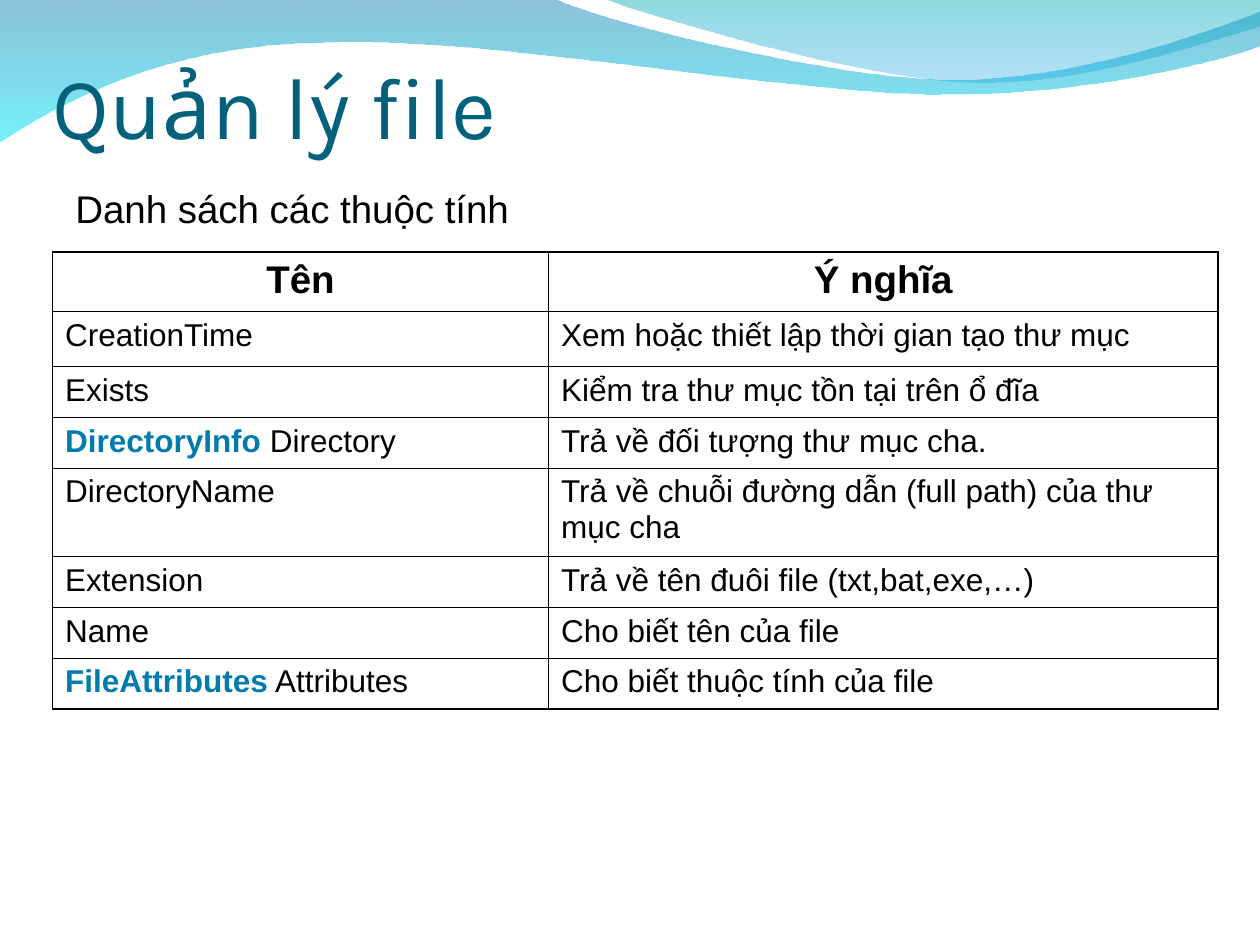
from lxml.etree import SubElement
from pptx import Presentation
from pptx.dml.color import RGBColor
from pptx.enum.text import MSO_ANCHOR, MSO_AUTO_SIZE, PP_ALIGN
from pptx.oxml.ns import qn
from pptx.util import Pt

BLACK, TITLE, ACCENT = "000000", "04617B", "007BAC"
THIN, THICK = 0.45, 1.08
COLUMNS = [283.5, 382.5]
ROW = 29.1
HEIGHTS = [33.8, 31.5, ROW, ROW, 50.3, ROW, ROW, ROW]

# Each row: highlighted type, attribute name, meaning
ROWS = [
    ("", "Tên", "Ý nghĩa"),
    ("", "CreationTime", "Xem hoặc thiết lập thời gian tạo thư mục"),
    ("", "Exists", "Kiểm tra thư mục tồn tại trên ổ đĩa"),
    ("DirectoryInfo", " Directory", "Trả về đối tượng thư mục cha."),
    ("", "DirectoryName", "Trả về chuỗi đường dẫn (full path) của thư mục cha"),
    ("", "Extension", "Trả về tên đuôi file (txt,bat,exe,…)"),
    ("", "Name", "Cho biết tên của file"),
    ("FileAttributes", " Attributes", "Cho biết thuộc tính của file"),
]

# After the start, one point is a line and three points are a cubic curve
BACK_WAVE = [
    [(0, -0.7)],
    [(316.8, -0.7)],
    [(342.7, 12.2), (478.1, 45.4), (545.8, 45.4)],
    [(614.2, 45.4), (689.8, 18.7), (720, 6.5)],
    [(720.7, 25.9)],
    [(707.8, 31.7), (626.4, 54.7), (537.1, 54)],
    [(447.8, 54), (275, 20.2), (185, 24.5)],
    [(92.9, 25.2), (33.1, 59.8), (-0.7, 81.4)],
]
FRONT_WAVE = [
    [(344.9, -0.7)],
    [(366.5, 7.9), (491, 44.6), (553.7, 46.8)],
    [(616.3, 49.7), (691.9, 23), (720, 15.1)],
    [(720, -0.7)],
]


def rgb(color):
    return RGBColor.from_string(color)


def bend_segments(sp, segments):
    """Join the three lines of each curved segment into one cubic curve."""
    outline = next(sp._element.iter(qn("a:path")))
    lines = iter(outline.findall(qn("a:lnTo")))
    for segment in segments[1:]:
        parts = [next(lines) for _ in segment]
        if len(parts) == 3:
            curve = outline.makeelement(qn("a:cubicBezTo"), {})
            parts[0].addprevious(curve)
            for part in parts:
                curve.append(part[0])
                outline.remove(part)


def add_wave(slide, segments, stops):
    """Draw a closed outline with a downward gradient of (colour, opacity %)."""
    points = [(Pt(x), Pt(y)) for segment in segments for x, y in segment]
    builder = slide.shapes.build_freeform(*points[0])
    builder.add_line_segments(points[1:])
    sp = builder.convert_to_shape()
    bend_segments(sp, segments)
    sp.shadow.inherit = False
    sp.line.fill.background()
    sp.fill.gradient()
    sp.fill.gradient_angle = 270
    for stop, (color, _) in zip(sp.fill.gradient_stops, stops):
        stop.color.rgb = rgb(color)
    for node, (_, opacity) in zip(sp._element.iter(qn("a:srgbClr")), stops):
        SubElement(node, qn("a:alpha"), val=str(opacity * 1000))


def add_run(p, text, size, color=BLACK, bold=False, font="Arial"):
    r = p.add_run()
    r.text = text
    r.font.name = font
    r.font.size = Pt(size)
    r.font.bold = bold
    r.font.color.rgb = rgb(color)


def set_title(slide, text):
    sp = slide.shapes.title
    sp.left, sp.top, sp.width, sp.height = Pt(30), Pt(0), Pt(648), Pt(90)
    tf = sp.text_frame
    tf.auto_size = MSO_AUTO_SIZE.NONE
    tf.vertical_anchor = MSO_ANCHOR.BOTTOM
    tf.margin_left = tf.margin_right = tf.margin_bottom = Pt(0)
    tf.margin_top = Pt(3.6)
    p = tf.paragraphs[0]
    p.alignment = PP_ALIGN.LEFT
    add_run(p, text, 50, TITLE, font="Karla")


def add_subtitle(slide, text):
    sp = slide.shapes.add_textbox(Pt(36), Pt(102.2), Pt(401.8), Pt(41.8))
    tf = sp.text_frame
    tf.word_wrap = True
    add_run(tf.paragraphs[0], text, 22)


def set_borders(cell, widths):
    """Set border widths in the order left, right, top, bottom."""
    tc_pr = cell._tc.get_or_add_tcPr()
    for index, (side, width) in enumerate(zip("LRTB", widths)):
        ln = tc_pr.makeelement(qn(f"a:ln{side}"), {"w": str(Pt(width))})
        fill = SubElement(ln, qn("a:solidFill"))
        SubElement(fill, qn("a:srgbClr"), val=BLACK)
        tc_pr.insert(index, ln)


def add_attribute_table(slide):
    frame = slide.shapes.add_table(len(ROWS), len(COLUMNS), Pt(30), Pt(144),
                                   Pt(sum(COLUMNS)), Pt(sum(HEIGHTS)))
    table = frame.table
    table.first_row = table.horz_banding = False
    for column, width in zip(table.columns, COLUMNS):
        column.width = Pt(width)
    last_row, last_col = len(ROWS) - 1, len(COLUMNS) - 1
    for i, (kind, name, meaning) in enumerate(ROWS):
        table.rows[i].height = Pt(HEIGHTS[i])
        header = i == 0
        for j, text in enumerate((name, meaning)):
            cell = table.cell(i, j)
            cell.fill.background()
            edges = (j == 0, j == last_col, header, i == last_row)
            set_borders(cell, [THICK if edge else THIN for edge in edges])
            p = cell.text_frame.paragraphs[0]
            p.alignment = PP_ALIGN.CENTER if header else PP_ALIGN.LEFT
            if kind and j == 0:
                add_run(p, kind, 18, ACCENT, bold=True)
            add_run(p, text, 22 if header else 18, bold=header)


def main():
    prs = Presentation()
    prs.slide_width, prs.slide_height = Pt(720), Pt(540)
    slide = prs.slides.add_slide(prs.slide_layouts[5])
    add_wave(slide, BACK_WAVE, [("0079AF", 45), ("00EBF8", 55)])
    add_wave(slide, FRONT_WAVE, [("00ADB6", 45), ("009BE5", 30)])
    set_title(slide, "Quản lý file")
    # Bring the title in front of the waves
    slide.shapes._spTree.append(slide.shapes.title._element)
    add_subtitle(slide, "Danh sách các thuộc tính")
    add_attribute_table(slide)
    prs.save("out.pptx")


if __name__ == "__main__":
    main()
